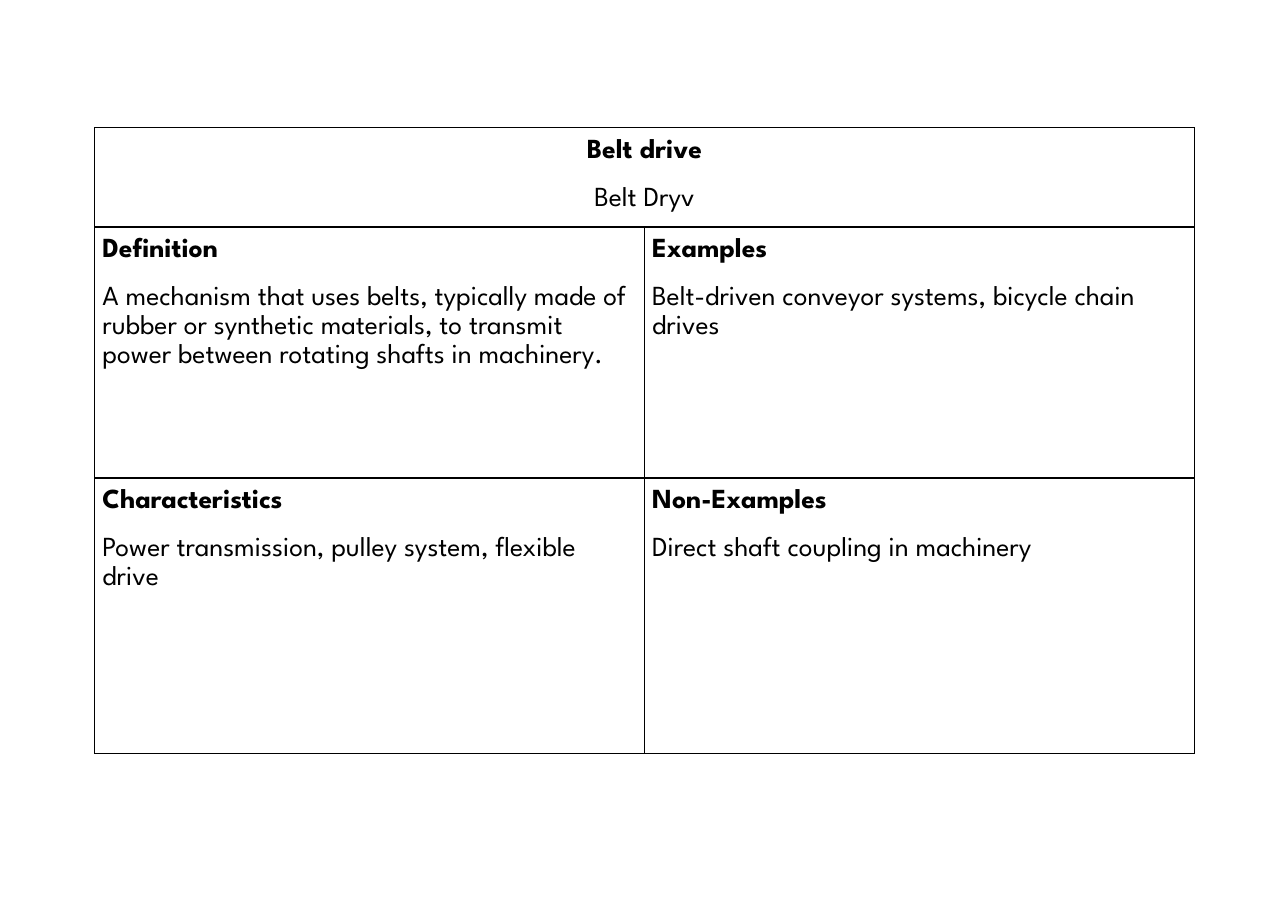
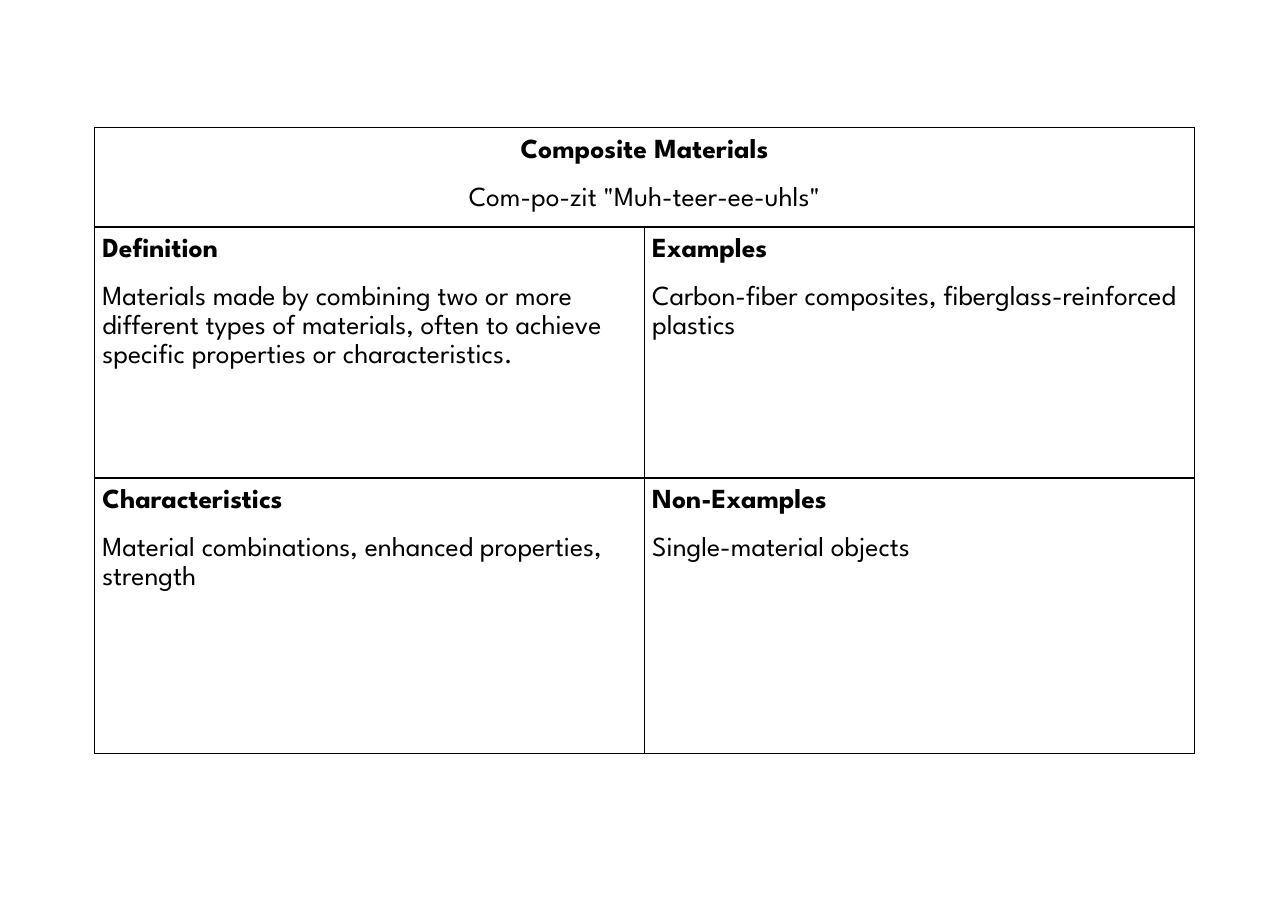
from lxml.etree import SubElement
from pptx import Presentation
from pptx.dml.color import RGBColor
from pptx.enum.text import MSO_ANCHOR, PP_ALIGN
from pptx.oxml.ns import qn
from pptx.util import Inches, Pt

COLORS = {"ink": "000000"}
FONT = "League Spartan"
COLUMN_WIDTH = 4.99
ROW_HEIGHTS = [0.9, 2.28, 2.5]
MARGIN = Inches(0.07)
HEADINGS = ["Definition", "Examples", "Characteristics", "Non-Examples"]

CARDS = [
    ("Belt drive", "Belt Dryv", [
        "A mechanism that uses belts, typically made of rubber or synthetic "
        "materials, to transmit power between rotating shafts in machinery.",
        "Belt-driven conveyor systems, bicycle chain drives",
        "Power transmission, pulley system, flexible drive",
        "Direct shaft coupling in machinery",
    ]),
    ("Composite Materials", 'Com-po-zit "Muh-teer-ee-uhls"', [
        "Materials made by combining two or more different types of materials, "
        "often to achieve specific properties or characteristics.",
        "Carbon-fiber composites, fiberglass-reinforced plastics",
        "Material combinations, enhanced properties, strength",
        "Single-material objects",
    ]),
]


def style_cell(cell):
    cell.margin_left = cell.margin_right = MARGIN
    cell.margin_top = cell.margin_bottom = MARGIN
    cell.vertical_anchor = MSO_ANCHOR.TOP
    properties = cell._tc.get_or_add_tcPr()
    for side in ("a:lnL", "a:lnR", "a:lnT", "a:lnB"):
        line = SubElement(properties, qn(side), w=str(Pt(1)))
        fill = SubElement(line, qn("a:solidFill"))
        SubElement(fill, qn("a:srgbClr"), val=COLORS["ink"])
    cell.fill.background()


def write_cell(cell, heading, body, align):
    frame = cell.text_frame
    frame.word_wrap = True
    heading_para = frame.paragraphs[0]
    body_para = frame.add_paragraph()
    body_para.space_before = Pt(12)
    for para, text, bold in ((heading_para, heading, True), (body_para, body, False)):
        para.alignment = align
        para.line_spacing = 1.15
        span = para.add_run()
        span.text = text
        span.font.name = FONT
        span.font.size = Pt(18)
        span.font.bold = bold
        span.font.color.rgb = RGBColor.from_string(COLORS["ink"])


deck = Presentation()
deck.slide_width = Inches(11.69)
deck.slide_height = Inches(8.27)

for term, pronunciation, details in CARDS:
    page = deck.slides.add_slide(deck.slide_layouts[6])
    table = page.shapes.add_table(
        3, 2, Inches(0.86), Inches(1.16),
        Inches(2 * COLUMN_WIDTH), Inches(sum(ROW_HEIGHTS))).table
    table.first_row = False
    table.horz_banding = False
    for column in table.columns:
        column.width = Inches(COLUMN_WIDTH)
    for row, height in zip(table.rows, ROW_HEIGHTS):
        row.height = Inches(height)
    for cell in table.iter_cells():
        style_cell(cell)
    table.cell(0, 0).merge(table.cell(0, 1))
    write_cell(table.cell(0, 0), term, pronunciation, PP_ALIGN.CENTER)
    for index, (heading, detail) in enumerate(zip(HEADINGS, details)):
        cell = table.cell(1 + index // 2, index % 2)
        write_cell(cell, heading, detail, PP_ALIGN.LEFT)

deck.save("out.pptx")
